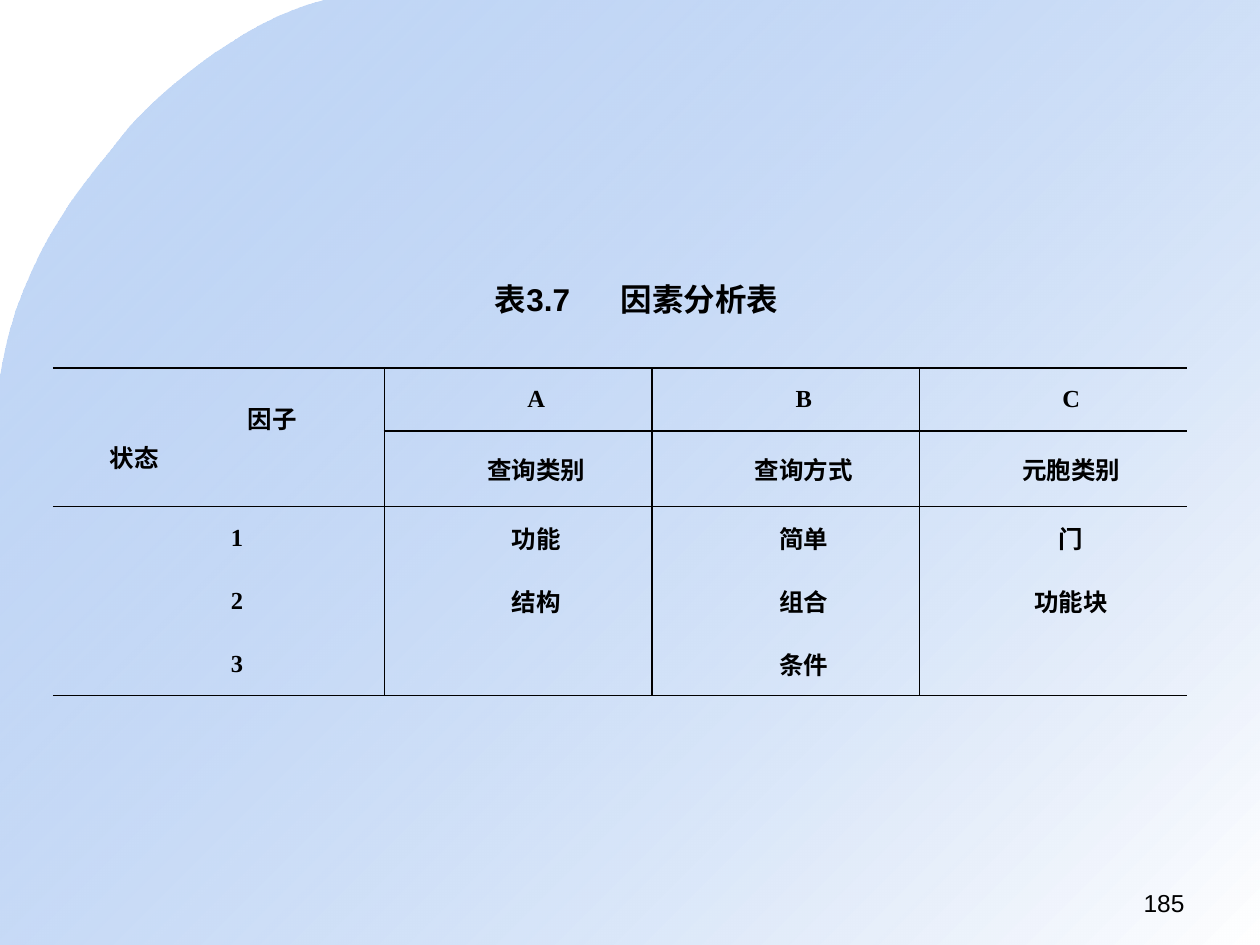
from lxml.etree import SubElement
from pptx import Presentation
from pptx.dml.color import RGBColor
from pptx.enum.text import MSO_ANCHOR, MSO_AUTO_SIZE, PP_ALIGN
from pptx.oxml import parse_xml
from pptx.oxml.ns import nsdecls, qn
from pptx.util import Inches, Pt

INK = "000000"
deck = Presentation()
deck.slide_width, deck.slide_height = Inches(10), Inches(7.5)
slide = deck.slides.add_slide(deck.slide_layouts[6])


def unit(count):
    return round(deck.slide_width * count / 100)


def write(para, text, size, face, bold=False):
    run = para.add_run()
    run.text = text
    run.font.size, run.font.name, run.font.bold = Pt(size), face, bold
    run.font.color.rgb = RGBColor.from_string(INK)


curves = [
    [(25.8, 0), (19, 1.6), (11.6, 8.3), (9.8, 10.7)],
    [(9.8, 10.7), (8, 13.2), (1.6, 19.4), (0, 30.1)],
]
edge = []
for a, b, c, d in curves:
    for step in range(17):
        t = step / 16
        edge.append([
            unit((1 - t) ** 3 * p + 3 * (1 - t) ** 2 * t * q
                 + 3 * (1 - t) * t ** 2 * r + t ** 3 * s)
            for p, q, r, s in zip(a, b, c, d)
        ])
edge += [(0, unit(75)), (unit(100), unit(75)), (unit(100), 0)]
pen = slide.shapes.build_freeform(*edge[0])
pen.add_line_segments(edge[1:], close=True)
back = pen.convert_to_shape()
back.shadow.inherit = False
back.line.fill.background()
back.fill.gradient()
back.fill.gradient_angle = 315
for stop, tint, place in zip(back.fill.gradient_stops, ("699DE9", "FFFFFF"), (0, 1)):
    stop.color.rgb = RGBColor.from_string(tint)
    stop.position = place
first = back._element.spPr.find(".//" + qn("a:srgbClr"))
SubElement(first, qn("a:alpha"), val="39000")

rows = [
    ["", "A", "B", "C"],
    ["", "查询类别", "查询方式", "元胞类别"],
    ["1", "功能", "简单", "门"],
    ["2", "结构", "组合", "功能块"],
    ["3", "", "条件", ""],
]
wide = [26.3] + [21.23] * 3
high = [5, 5.9, 5, 5, 5]
frame = slide.shapes.add_table(
    len(rows), len(wide), unit(4.2), unit(29.2), unit(sum(wide)), unit(sum(high)))
table = frame.table
table.first_row = table.horz_banding = False
for col, size in zip(table.columns, wide):
    col.width = unit(size)
for row, size in zip(table.rows, high):
    row.height = unit(size)
table.cell(0, 0).merge(table.cell(1, 0))

for y, row in enumerate(rows):
    for x, text in enumerate(row):
        cell = table.cell(y, x)
        cell.fill.background()
        cell.vertical_anchor = MSO_ANCHOR.MIDDLE
        cell.margin_left = cell.margin_right = unit(0.7)
        cell.margin_top = cell.margin_bottom = 0
        sides = {
            "L": x > 0,
            "R": x < 3,
            "T": y in (0, 2) or (y == 1 and x > 0),
            "B": y in (1, 4) or (y == 0 and x > 0),
        }
        props = cell._tc.get_or_add_tcPr()
        for spot, (side, drawn) in enumerate(sides.items()):
            paint = (f'<a:solidFill><a:srgbClr val="{INK}"/></a:solidFill>'
                     if drawn else "<a:noFill/>")
            props.insert(spot, parse_xml(
                f'<a:ln{side} {nsdecls("a")} w="12700">{paint}</a:ln{side}>'))
        lines = [(text, PP_ALIGN.CENTER, 0, 2.9)]
        if x == y == 0:
            lines = [("因子", PP_ALIGN.CENTER, 5.6, 2.9),
                     ("状态", PP_ALIGN.LEFT, 0, 3.8)]
        for spot, (words, align, left, dent) in enumerate(lines):
            if not words:
                continue
            para = cell.text_frame.add_paragraph() if spot else cell.text_frame.paragraphs[0]
            para.alignment = align
            para.space_after = Pt(1.2)
            if spot:
                para.space_before = Pt(1.2)
            form = para._p.get_or_add_pPr()
            form.set("marL", str(unit(left)))
            form.set("indent", str(unit(dent)))
            write(para, words, 14, "Times New Roman", True)

title = slide.shapes.add_textbox(unit(38.3), unit(21.7), unit(24.7), unit(4)).text_frame
title.word_wrap = False
title.auto_size = MSO_AUTO_SIZE.SHAPE_TO_FIT_TEXT
write(title.paragraphs[0], "表3.7\t因素分析表", 18, "Arial", True)

page = slide.shapes.add_textbox(unit(71.7), unit(70), unit(23.3), unit(3.5)).text_frame
page.word_wrap = True
page.paragraphs[0].alignment = PP_ALIGN.RIGHT
write(page.paragraphs[0], "185", 14, "Arial")

deck.save("out.pptx")
